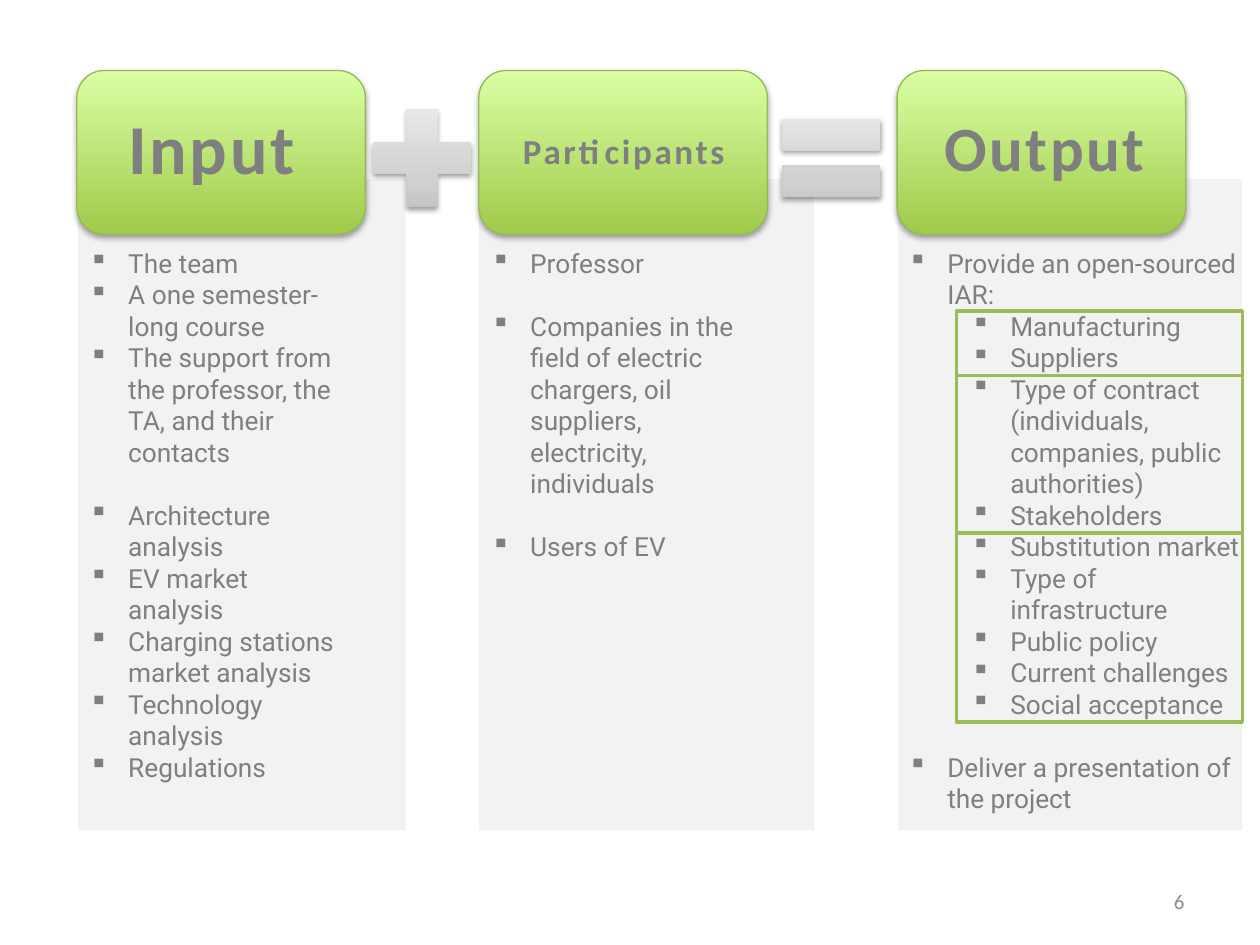
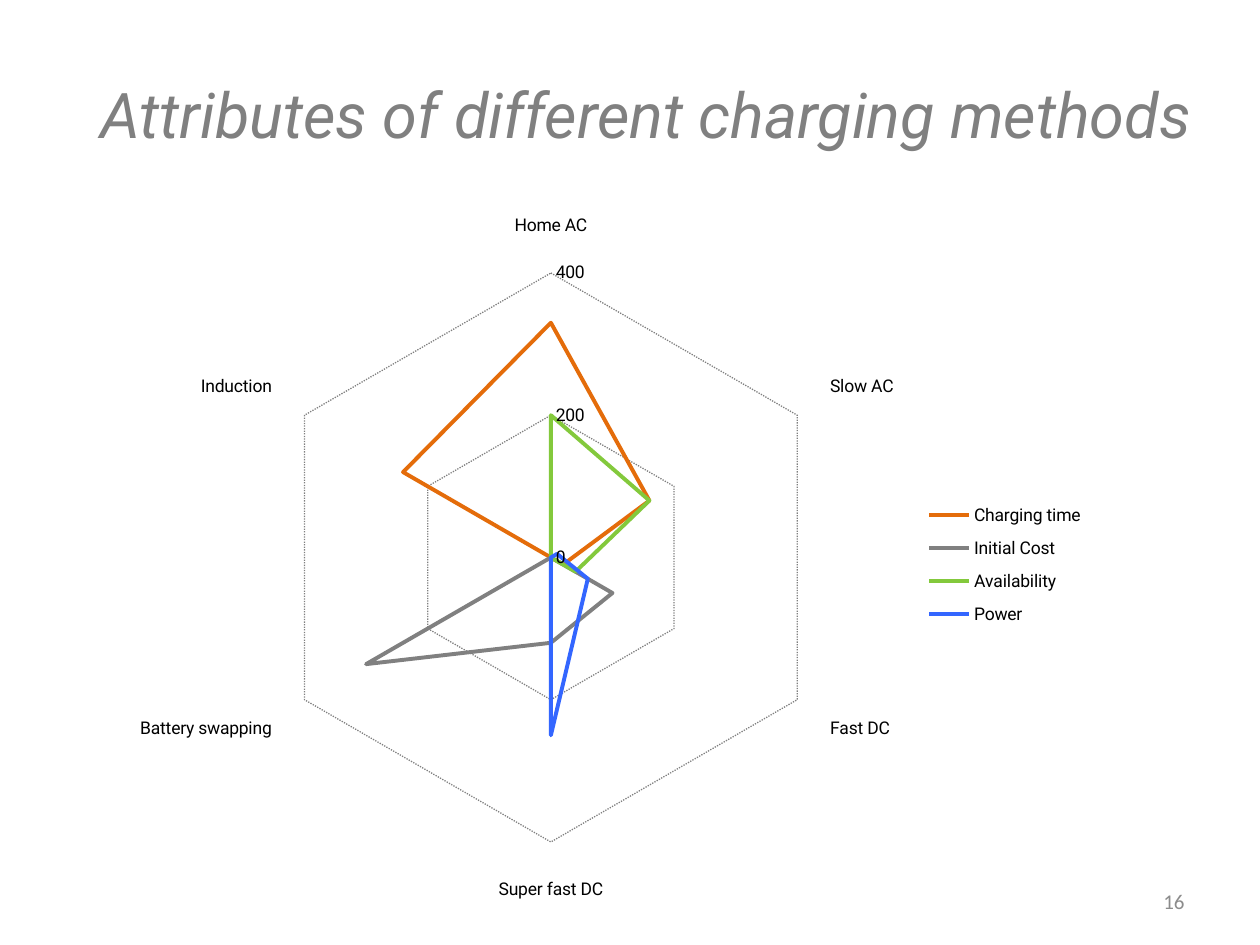
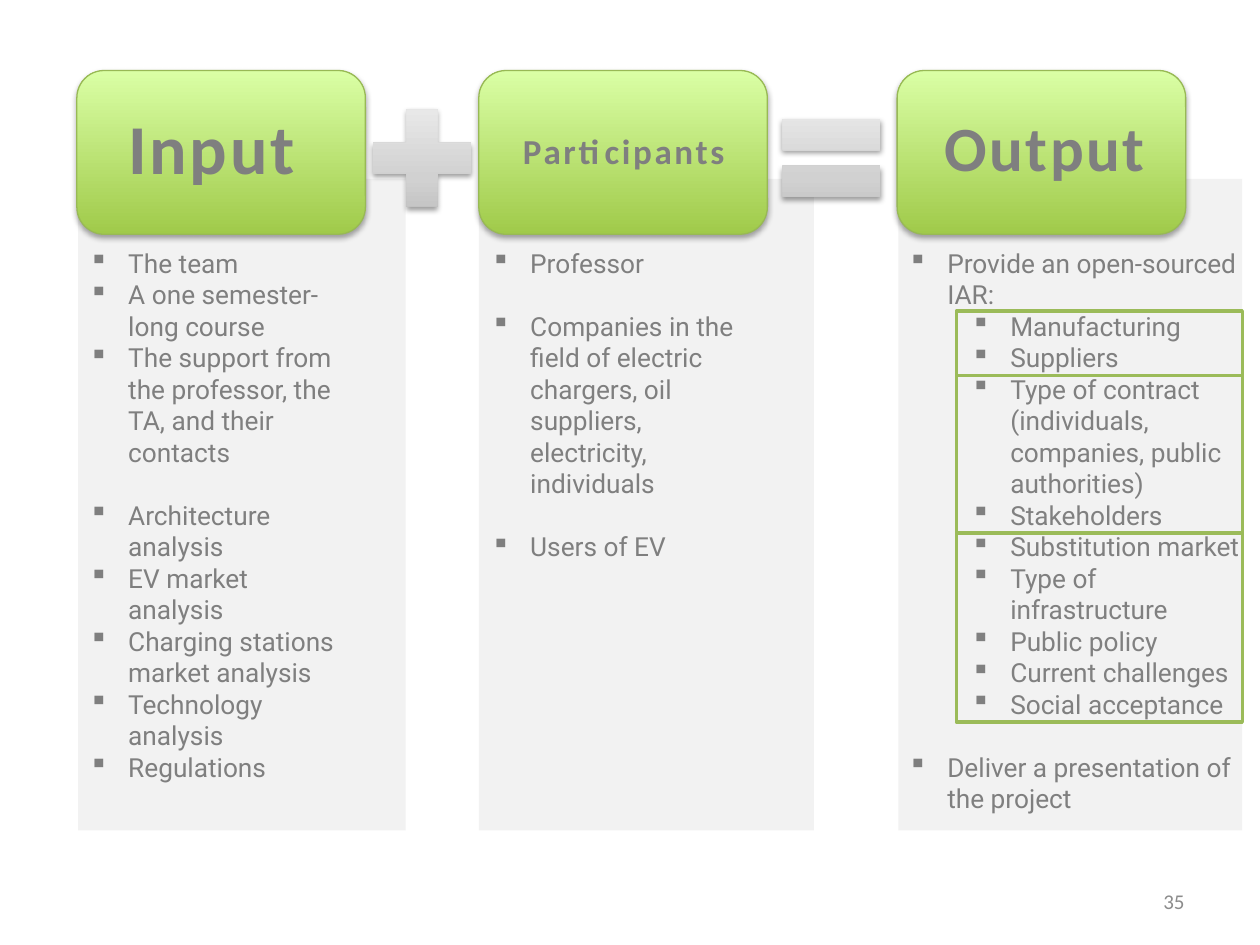
"""Build three slides on an electric vehicle charging project."""
from itertools import accumulate

from lxml import etree
from pptx import Presentation
from pptx.chart.data import CategoryChartData
from pptx.dml.color import RGBColor
from pptx.enum.chart import XL_CHART_TYPE, XL_LEGEND_POSITION, XL_TICK_MARK
from pptx.enum.dml import MSO_LINE
from pptx.enum.shapes import MSO_SHAPE
from pptx.enum.text import MSO_ANCHOR, MSO_AUTO_SIZE, PP_ALIGN
from pptx.oxml.ns import qn
from pptx.util import Inches, Pt

RECT, ROUND = MSO_SHAPE.RECTANGLE, MSO_SHAPE.ROUNDED_RECTANGLE
PLUS, EQUAL = MSO_SHAPE.MATH_PLUS, MSO_SHAPE.MATH_EQUAL
LEFT, CENTER, RIGHT = PP_ALIGN.LEFT, PP_ALIGN.CENTER, PP_ALIGN.RIGHT
TOP, MIDDLE = MSO_ANCHOR.TOP, MSO_ANCHOR.MIDDLE
NO_TICK, DOTTED = XL_TICK_MARK.NONE, MSO_LINE.ROUND_DOT

WIDTH, HEIGHT = Inches(10), Inches(7.5)
COLS, ROWS = 100, 75

COLORS = {
    "panel": "F2F2F2", "text": "7F7F7F", "gray": "808080",
    "number": "8C8C8C", "edge": "98B955", "frame": "9BBB59",
    "black": "000000", "orange": "E46C0A", "green": "83C93C", "blue": "3366FF",
}
GREEN_STOPS = [(0, "A0CA4A"), (100, "DAFFA5")]
GRAY_STOPS = [(0, "BDBDBD"), (35, "D1D1D1"), (100, "EEEEEE")]

BODY = {"name": "Roboto", "size": Pt(15)}
TITLE = {"name": "Roboto", "size": Pt(36), "italic": True}
HEADING = {"name": "Calibri", "bold": True}
NUMBER = {"name": "Calibri", "size": Pt(12)}
CHART_FONT = {"name": "Roboto", "size": Pt(10)}

GAP = 18
PANELS = [(6.2, 26), (38, 26.6), (71.3, 27.3)]
HEADS = [6.1, 38, 71.2]
LABELS = [
    ("Input", 40, (7.2, 7.8, 19.2, 7.7)),
    ("Participants", 20, (39.9, 9.8, 19.2, 4.4)),
    ("Output", 36, (73.3, 8.1, 19.2, 7.1)),
]
SYMBOLS = [(PLUS, 28.2), (EQUAL, 60.7)]
FRAME_TOP, FRAME_HEIGHTS = 24.7, [5.1, 12.5, 15]

LISTS = [
    ((6.1, 19.1, 21.6, 43.9), [
        (0, 0, ["The team", "A one semester-long course",
                "The support from the professor, the TA, and their contacts"]),
        (GAP, 0, ["Architecture analysis", "EV market analysis",
                  "Charging stations market analysis",
                  "Technology analysis", "Regulations"]),
    ]),
    ((38, 19.1, 22.9, 26.3), [
        (0, 0, ["Professor"]),
        (GAP, 0, ["Companies in the field of electric chargers, "
                  "oil suppliers, electricity, individuals"]),
        (GAP, 0, ["Users of EV"]),
    ]),
    ((71.1, 19.1, 28.9, 46.4), [
        (0, 0, ["Provide an open-sourced IAR:"]),
        (0, 1, ["Manufacturing", "Suppliers",
                "Type of contract (individuals, companies, public authorities)",
                "Stakeholders", "Substitution market", "Type of infrastructure",
                "Public policy", "Current challenges", "Social acceptance"]),
        (GAP, 0, ["Deliver a presentation of the project"]),
    ]),
]

METHODS = ["Home AC", "Slow AC", "Fast DC", "Super fast DC",
           "Battery swapping", "Induction"]
ATTRIBUTES = [
    ("Charging time", "orange", [330, 160, 20, 0, 0, 240]),
    ("Initial Cost", "gray", [0, 0, 100, 120, 300, 0]),
    ("Availability", "green", [200, 160, 40, 0, 0, 0]),
    ("Power", "blue", [0, 10, 60, 250, 0, 0]),
]


def rgb(name):
    return RGBColor.from_string(COLORS[name])


def grid(col, row, cols, rows):
    x, y = WIDTH / COLS, HEIGHT / ROWS
    return [round(v) for v in (col * x, row * y, cols * x, rows * y)]


def set_all(obj, values):
    for key, value in values.items():
        setattr(obj, key, value)


def style_font(font, fmt, color):
    set_all(font, fmt)
    font.color.rgb = rgb(color)


def add_xml(parent, tag, **attrs):
    return etree.SubElement(parent, qn(tag), attrs)


def add_box(slide, kind, box, fill=None, line=None, width=0.75):
    sp = slide.shapes.add_shape(kind, *grid(*box))
    sp.shadow.inherit = False
    if fill:
        sp.fill.solid()
        sp.fill.fore_color.rgb = rgb(fill)
    else:
        sp.fill.background()
    if line:
        sp.line.color.rgb = rgb(line)
        sp.line.width = Pt(width)
    else:
        sp.line.fill.background()
    return sp


def add_glossy(slide, kind, box, stops, line=None, alpha=35):
    sp = add_box(slide, kind, box, line=line)
    sp.fill.gradient()
    sp.fill.gradient_angle = 90
    props = sp.element.spPr
    stop_list = props.find(".//" + qn("a:gsLst"))
    stop_list.clear()
    for pos, color in stops:
        stop = add_xml(stop_list, "a:gs", pos=str(pos * 1000))
        add_xml(stop, "a:srgbClr", val=color)
    shadow = add_xml(props.find(qn("a:effectLst")), "a:outerShdw", blurRad="40000",
                     dist="22000", dir="5400000", rotWithShape="0")
    color = add_xml(shadow, "a:srgbClr", val=COLORS["black"])
    add_xml(color, "a:alpha", val=str(alpha * 1000))


def add_frame(slide, box, anchor=TOP):
    tf = slide.shapes.add_textbox(*grid(*box)).text_frame
    set_all(tf, {"word_wrap": True, "auto_size": MSO_AUTO_SIZE.NONE,
                 "vertical_anchor": anchor})
    return tf


def add_text(slide, box, text, fmt, color="text", align=LEFT, anchor=TOP):
    p = add_frame(slide, box, anchor).paragraphs[0]
    p.alignment = align
    r = p.add_run()
    r.text = text
    style_font(r.font, fmt, color)
    return r


def add_list(slide, box, groups):
    tf = add_frame(slide, box)
    items = [(gap if i == 0 else 0, level, text)
             for gap, level, texts in groups for i, text in enumerate(texts)]
    for i, (gap, level, text) in enumerate(items):
        p = tf.add_paragraph() if i else tf.paragraphs[0]
        p.level = level
        if gap:
            p.space_before = Pt(gap)
        props = p._p.get_or_add_pPr()
        props.set("marL", str(Inches(0.31 + 0.5 * level)))
        props.set("indent", str(-Inches(0.31)))
        add_xml(props, "a:buChar", char="▪")
        r = p.add_run()
        r.text = text
        style_font(r.font, BODY, "gray" if level else "text")


def add_number(slide, number):
    add_text(slide, (71.7, 69.5, 23.3, 4), str(number), NUMBER, "number",
             RIGHT, MIDDLE)


def place_part(part, index, x, y, w, h, inner=False):
    for old in part.findall(qn("c:layout")):
        part.remove(old)
    layout = etree.Element(qn("c:layout"))
    part.insert(index, layout)
    manual = add_xml(layout, "c:manualLayout")
    if inner:
        add_xml(manual, "c:layoutTarget", val="inner")
    for mode in ("xMode", "yMode"):
        add_xml(manual, "c:" + mode, val="edge")
    for key, value in (("x", x), ("y", y), ("w", w), ("h", h)):
        add_xml(manual, "c:" + key, val=str(value))


def add_radar(slide, box):
    data = CategoryChartData()
    data.categories = METHODS
    for name, _, values in ATTRIBUTES:
        data.add_series(name, values)
    chart = slide.shapes.add_chart(XL_CHART_TYPE.RADAR, *grid(*box), data).chart
    set_all(chart, {"has_title": False, "has_legend": True})
    style_font(chart.font, CHART_FONT, "black")
    set_all(chart.legend, {"position": XL_LEGEND_POSITION.RIGHT,
                           "include_in_layout": False})
    plot = chart.plots[0]
    plot.vary_by_categories = False
    for series, (_, color, _) in zip(plot.series, ATTRIBUTES):
        series.format.line.color.rgb = rgb(color)
        series.format.line.width = Pt(2.25)
    for axis in (chart.category_axis, chart.value_axis):
        set_all(axis, {"major_tick_mark": NO_TICK, "minor_tick_mark": NO_TICK,
                       "has_major_gridlines": True})
        style_font(axis.tick_labels.font, CHART_FONT, "black")
        line = axis.major_gridlines.format.line
        line.color.rgb = rgb("gray")
        set_all(line, {"width": Pt(0.75), "dash_style": DOTTED})
    set_all(chart.value_axis, {"minimum_scale": 0, "maximum_scale": 400,
                               "major_unit": 200})
    chart.value_axis.format.line.fill.background()
    place_part(chart.element.find(".//" + qn("c:plotArea")), 0,
               0.22, 0.11, 0.47, 0.78, inner=True)
    place_part(chart.element.find(".//" + qn("c:legend")), 1,
               0.76, 0.41, 0.14, 0.2)


def build_overview(slide, number):
    for col, cols in PANELS:
        add_box(slide, RECT, (col, 14.2, cols, 51.7), "panel")
    for box, groups in LISTS:
        add_list(slide, box, groups)
    for col in HEADS:
        add_glossy(slide, ROUND, (col, 5.6, 22.9, 13), GREEN_STOPS, "edge")
    for text, size, box in LABELS:
        r = add_text(slide, box, text, {**HEADING, "size": Pt(size)}, align=CENTER)
        r.font._element.set("spc", "150")
    for kind, col in SYMBOLS:
        add_glossy(slide, kind, (col, 7.3, 10.6, 10.5), GRAY_STOPS, alpha=38)
    add_number(slide, number)
    for rows, end in zip(FRAME_HEIGHTS, accumulate(FRAME_HEIGHTS)):
        add_box(slide, RECT, (75.9, FRAME_TOP + end - rows, 22.7, rows),
                line="frame", width=2)


def build_attributes(slide, number):
    add_number(slide, number)
    add_radar(slide, (0, 15.3, 96.1, 57.9))
    add_text(slide, (7, 5.5, 90.5, 13.8),
             "Attributes of different charging methods", TITLE, "gray")


def main():
    prs = Presentation()
    set_all(prs, {"slide_width": WIDTH, "slide_height": HEIGHT})
    pages = [(build_overview, 6), (build_attributes, 16), (build_overview, 35)]
    for build, number in pages:
        build(prs.slides.add_slide(prs.slide_layouts[6]), number)
    prs.save("out.pptx")


if __name__ == "__main__":
    main()
